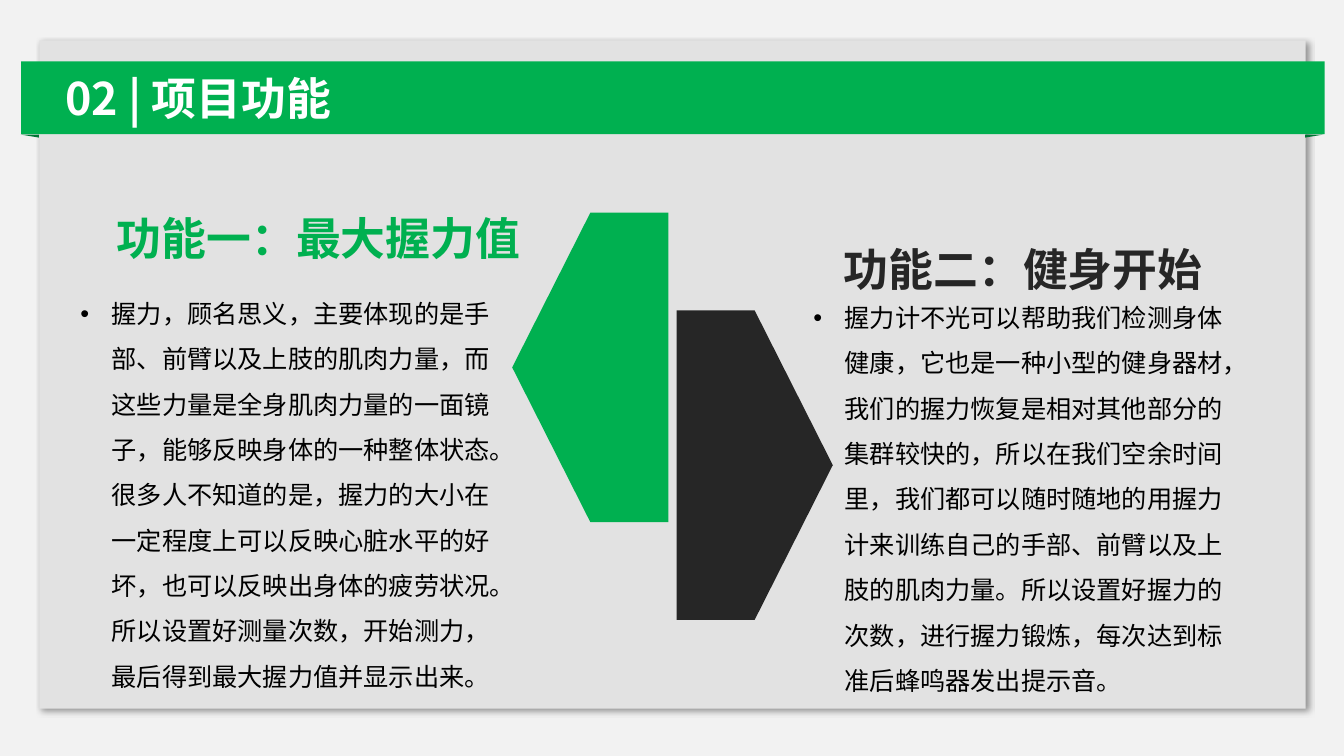
import pptx
import pptx.util
import pptx.dml.color
import pptx.enum.shapes
import pptx.enum.text
import pptx.oxml
import pptx.oxml.ns
from pptx.util import Inches

FACE = "Noto Sans CJK SC"
GREEN, DARK = "00B050", "262626"
KIND = pptx.enum.shapes.MSO_SHAPE
NS = pptx.oxml.ns.nsdecls("a")


def color(code):
    return pptx.dml.color.RGBColor.from_string(code)


def add_xml(node, xml):
    node.append(pptx.oxml.parse_xml(xml))


def shape(slide, kind, box, fill, turn=0, adj=None):
    item = slide.shapes.add_shape(kind, *map(Inches, box))
    item.shadow.inherit = False
    item.fill.solid()
    item.fill.fore_color.rgb = color(fill)
    item.line.fill.background()
    item.rotation = turn
    if adj is not None:
        item.adjustments[0] = adj
    return item


def shade(item):
    """Give a shape a soft shadow to the lower right."""
    effects = item._element.spPr.find(pptx.oxml.ns.qn("a:effectLst"))
    add_xml(effects, f'<a:outerShdw {NS} blurRad="50800" dist="38100" '
            'dir="2700000" algn="tl" rotWithShape="0"><a:srgbClr val="000000">'
            '<a:alpha val="40000"/></a:srgbClr></a:outerShdw>')


def text(slide, words, box, size=32, fill=DARK, bold=True, wrap=False,
         lines=1.0, bullet=False):
    item = slide.shapes.add_textbox(*map(Inches, box))
    frame = item.text_frame
    frame.word_wrap = wrap
    frame.auto_size = pptx.enum.text.MSO_AUTO_SIZE.SHAPE_TO_FIT_TEXT
    para = frame.paragraphs[0]
    para.line_spacing = lines
    if bullet:
        props = para._p.get_or_add_pPr()
        indent = Inches(0.31)
        props.set("marL", str(indent))
        props.set("indent", str(-indent))
        add_xml(props, f'<a:buFont {NS} typeface="Arial"/>')
        add_xml(props, f'<a:buChar {NS} char="•"/>')
    run = para.add_run()
    run.text = words
    font = run.font
    font.name, font.size, font.bold = FACE, pptx.util.Pt(size), bold
    font.color.rgb = color(fill)
    add_xml(run._r.get_or_add_rPr(), f'<a:ea {NS} typeface="{FACE}"/>')


def banner(slide, title):
    shape(slide, KIND.RECTANGLE, (0.21, 0.61, 12.93, 0.72), GREEN)
    # Folded ribbon ends
    for left, turn, adj in ((0.28, 270, 1), (13.02, 90, 0)):
        shape(slide, KIND.ISOSCELES_TRIANGLE, (left, 1.26, 0.03, 0.18),
              "007635", turn, adj)
    text(slide, title, (0.55, 0.65, 2.97, 0.64), fill="FFFFFF")


def feature(slide, title, head, fill, body, place):
    text(slide, title, head, fill=fill, lines=1.3)
    text(slide, body, (*place, 4.3, 4.14), size=18, fill="000000",
         bold=False, wrap=True, lines=1.5, bullet=True)


def main():
    deck = pptx.Presentation()
    deck.slide_width, deck.slide_height = Inches(13.33), Inches(7.5)
    slide = deck.slides.add_slide(deck.slide_layouts[6])
    slide.background.fill.solid()
    slide.background.fill.fore_color.rgb = color("F2F2F2")

    # Panel and title banner
    shade(shape(slide, KIND.RECTANGLE, (0.39, 0.4, 12.56, 6.63), "E2E2E2"))
    banner(slide, "02 | 项目功能")

    # Opposed arrows
    for left, top, fill, turn in ((5.08, 2.11, GREEN, 180),
                                  (6.71, 3.08, DARK, 0)):
        shape(slide, KIND.PENTAGON, (left, top, 1.55, 3.07), fill, turn)

    # Two features
    feature(slide, "功能一：最大握力值", (1.06, 1.88, 4.24, 0.73), GREEN,
            "握力，顾名思义，主要体现的是手部、前臂以及上肢的肌肉力量，"
            "而这些力量是全身肌肉力量的一面镜子，能够反映身体的一种整体状态。"
            "很多人不知道的是，握力的大小在一定程度上可以反映心脏水平的好坏，"
            "也可以反映出身体的疲劳状况。所以设置好测量次数，开始测力，"
            "最后得到最大握力值并显示出来。", (0.7, 2.76))
    feature(slide, "功能二：健身开始", (8.27, 2.19, 3.79, 0.73), DARK,
            "握力计不光可以帮助我们检测身体健康，它也是一种小型的健身器材，"
            "我们的握力恢复是相对其他部分的集群较快的，所以在我们空余时间里，"
            "我们都可以随时随地的用握力计来训练自己的手部、前臂以及上肢的肌肉力量。"
            "所以设置好握力的次数，进行握力锻炼，每次达到标准后蜂鸣器发出提示音。",
            (7.97, 2.8))

    deck.save("out.pptx")


if __name__ == "__main__":
    main()
